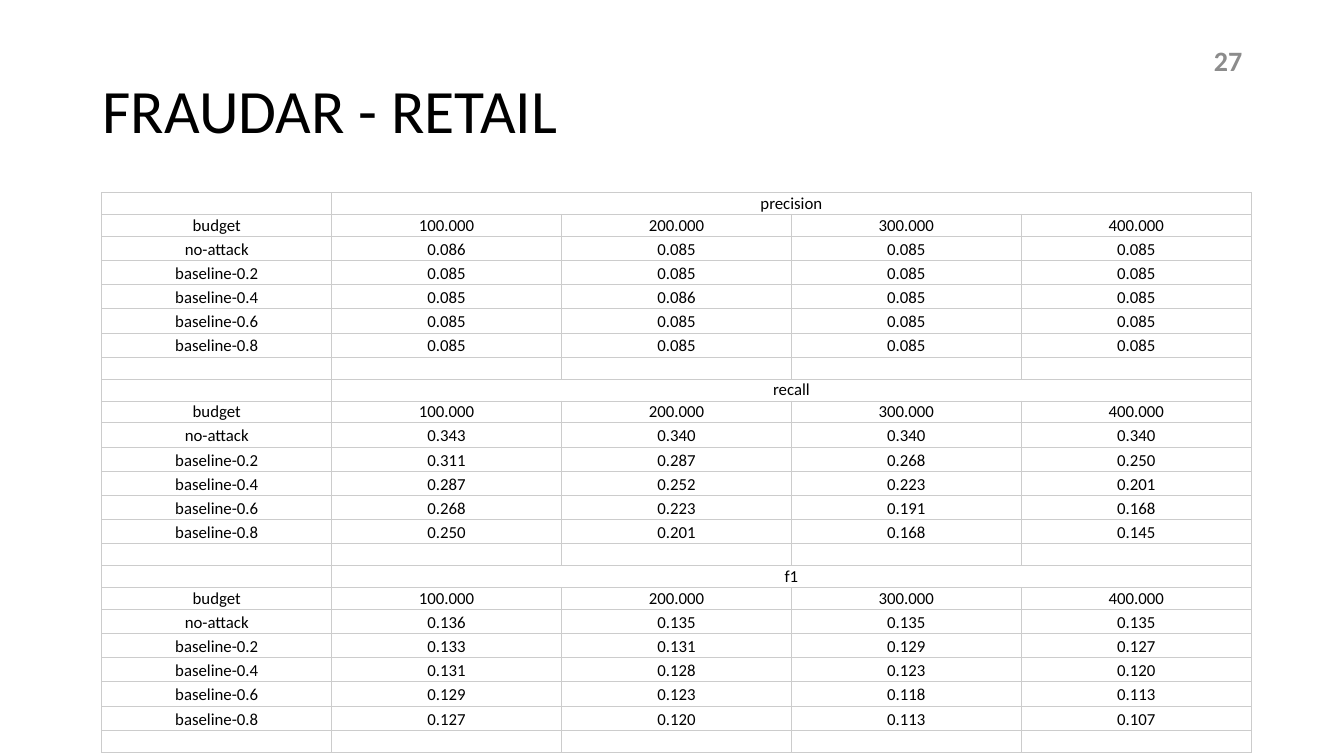
import pptx
import pptx.util
import pptx.dml.color
import pptx.enum.text
import pptx.oxml.ns
import lxml.etree

TITLE = "FRAUDAR - RETAIL"
PAGE_NUMBER = "27"
BUDGETS = ("100.000", "200.000", "300.000", "400.000")
METHODS = ("no-attack", "baseline-0.2", "baseline-0.4", "baseline-0.6", "baseline-0.8")
METRICS = {
    "precision": (
        ("0.086", "0.085", "0.085", "0.085"),
        ("0.085", "0.085", "0.085", "0.085"),
        ("0.085", "0.086", "0.085", "0.085"),
        ("0.085", "0.085", "0.085", "0.085"),
        ("0.085", "0.085", "0.085", "0.085"),
    ),
    "recall": (
        ("0.343", "0.340", "0.340", "0.340"),
        ("0.311", "0.287", "0.268", "0.250"),
        ("0.287", "0.252", "0.223", "0.201"),
        ("0.268", "0.223", "0.191", "0.168"),
        ("0.250", "0.201", "0.168", "0.145"),
    ),
    "f1": (
        ("0.136", "0.135", "0.135", "0.135"),
        ("0.133", "0.131", "0.129", "0.127"),
        ("0.131", "0.128", "0.123", "0.120"),
        ("0.129", "0.123", "0.118", "0.113"),
        ("0.127", "0.120", "0.113", "0.107"),
    ),
}

BLACK = pptx.dml.color.RGBColor(0x00, 0x00, 0x00)
GRAY = pptx.dml.color.RGBColor(0x8C, 0x8C, 0x8C)
BORDER = pptx.dml.color.RGBColor(0xCC, 0xCC, 0xCC)
FONT = "Calibri"
Inches = pptx.util.Inches
Pt = pptx.util.Pt
qn = pptx.oxml.ns.qn
ALIGN = pptx.enum.text.PP_ALIGN
ANCHOR = pptx.enum.text.MSO_ANCHOR
COLUMN_WIDTH = Inches(2.28)
LABEL_ROW_HEIGHT = Pt(15.65)
VALUE_ROW_HEIGHT = Inches(0.24)
CELL_MARGIN = Pt(0.5)


def write_text(text_frame, text, size=12, color=BLACK, bold=False, align=ALIGN.CENTER, spacing=1.0):
    paragraph = text_frame.paragraphs[0]
    paragraph.alignment = align
    paragraph.line_spacing = spacing
    if not text:
        lxml.etree.SubElement(paragraph._p, qn("a:endParaRPr"), sz=str(size * 100))
        return
    run = paragraph.add_run()
    run.text = text
    run.font.name = FONT
    run.font.size = Pt(size)
    run.font.bold = bold
    run.font.color.rgb = color


def add_text_box(slide, text, left, top, width, height, **text_format):
    box = slide.shapes.add_textbox(Inches(left), Inches(top), Inches(width), Inches(height))
    box.text_frame.word_wrap = True
    box.text_frame.vertical_anchor = ANCHOR.MIDDLE
    write_text(box.text_frame, text, **text_format)


def style_cell(cell):
    cell.margin_left = cell.margin_right = CELL_MARGIN
    cell.margin_top = cell.margin_bottom = CELL_MARGIN
    cell.vertical_anchor = ANCHOR.BOTTOM
    properties = cell._tc.get_or_add_tcPr()
    for side in ("a:lnL", "a:lnR", "a:lnT", "a:lnB"):
        line = lxml.etree.SubElement(properties, qn(side), w=str(Pt(0.75)))
        fill = lxml.etree.SubElement(line, qn("a:solidFill"))
        lxml.etree.SubElement(fill, qn("a:srgbClr"), val=str(BORDER))
    cell.fill.background()


def table_rows():
    blank = ("",) * len(BUDGETS)
    for metric, results in METRICS.items():
        yield LABEL_ROW_HEIGHT, ("", metric) + blank[1:]
        yield LABEL_ROW_HEIGHT, ("budget",) + BUDGETS
        for method, values in zip(METHODS, results):
            yield VALUE_ROW_HEIGHT, (method,) + values
        yield LABEL_ROW_HEIGHT, ("",) + blank


def add_results_table(slide):
    rows = list(table_rows())
    column_count = len(BUDGETS) + 1
    table = slide.shapes.add_table(
        len(rows), column_count, Inches(1.01), Inches(1.91),
        COLUMN_WIDTH * column_count, sum(height for height, texts in rows),
    ).table
    table.first_row = False
    table.horz_banding = False
    for column in table.columns:
        column.width = COLUMN_WIDTH
    for row_index, (height, texts) in enumerate(rows):
        table.rows[row_index].height = height
        for column_index, text in enumerate(texts):
            cell = table.cell(row_index, column_index)
            style_cell(cell)
            write_text(cell.text_frame, text)
        if texts[1] in METRICS:
            table.cell(row_index, 1).merge(table.cell(row_index, column_count - 1))


def main():
    presentation = pptx.Presentation()
    presentation.slide_width = Inches(13.33)
    presentation.slide_height = Inches(7.5)
    slide = presentation.slides.add_slide(presentation.slide_layouts[6])
    add_text_box(slide, TITLE, 0.92, 0.4, 11.5, 1.45, size=44, align=ALIGN.LEFT, spacing=0.9)
    add_text_box(slide, PAGE_NUMBER, 9.42, 0.4, 3, 0.4, size=20, color=GRAY, bold=True, align=ALIGN.RIGHT)
    add_results_table(slide)
    presentation.save("out.pptx")


if __name__ == "__main__":
    main()
